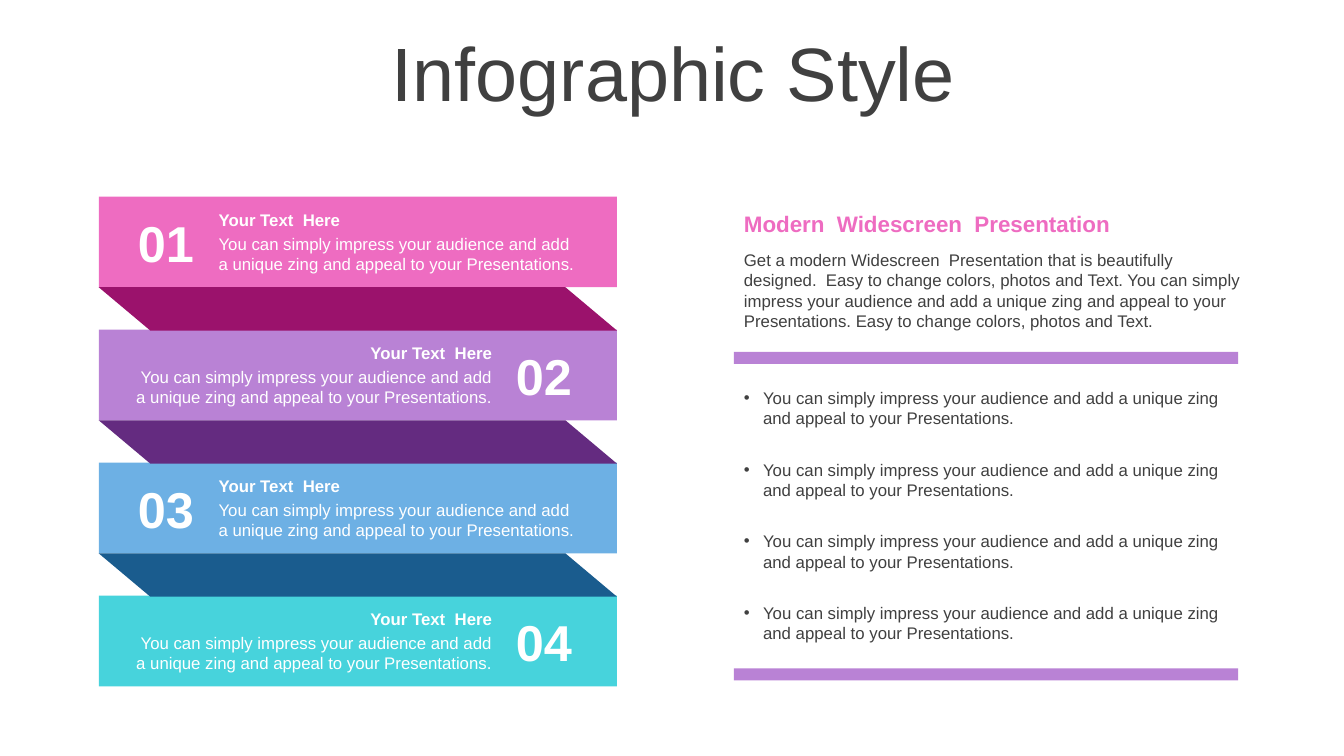
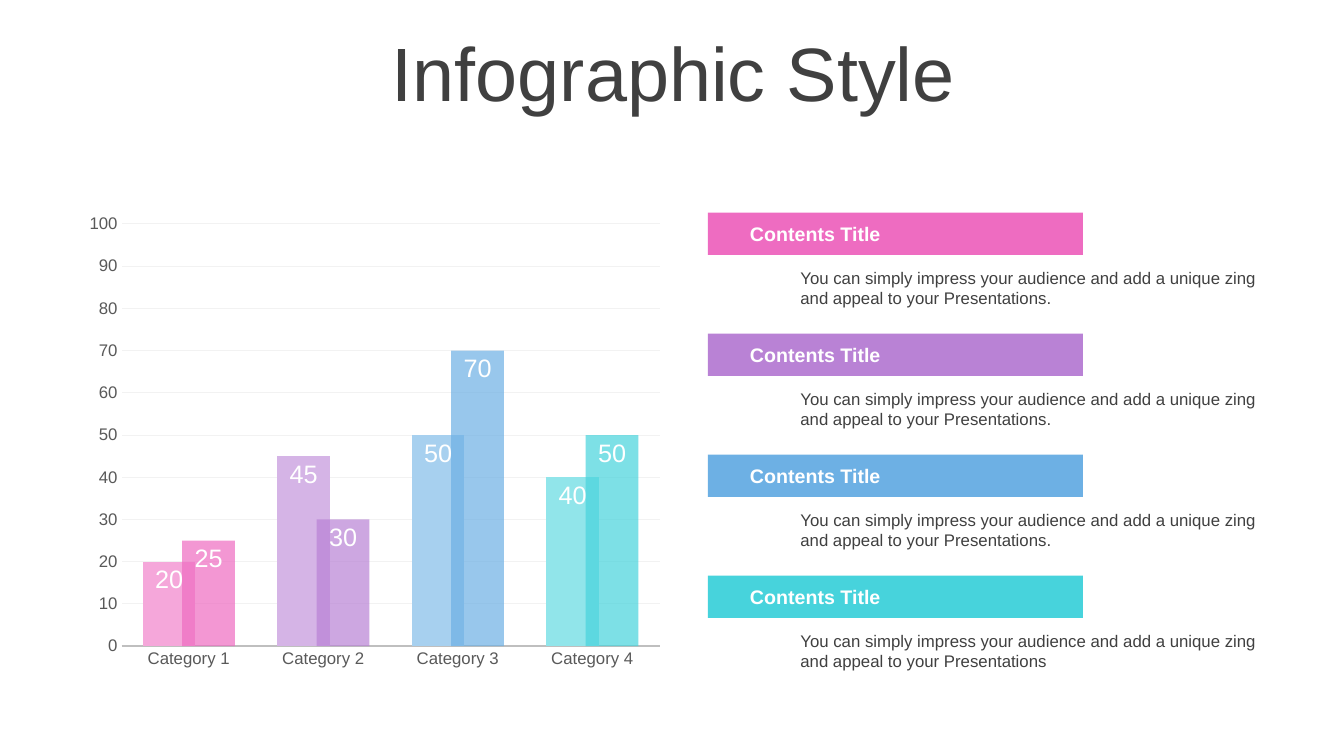
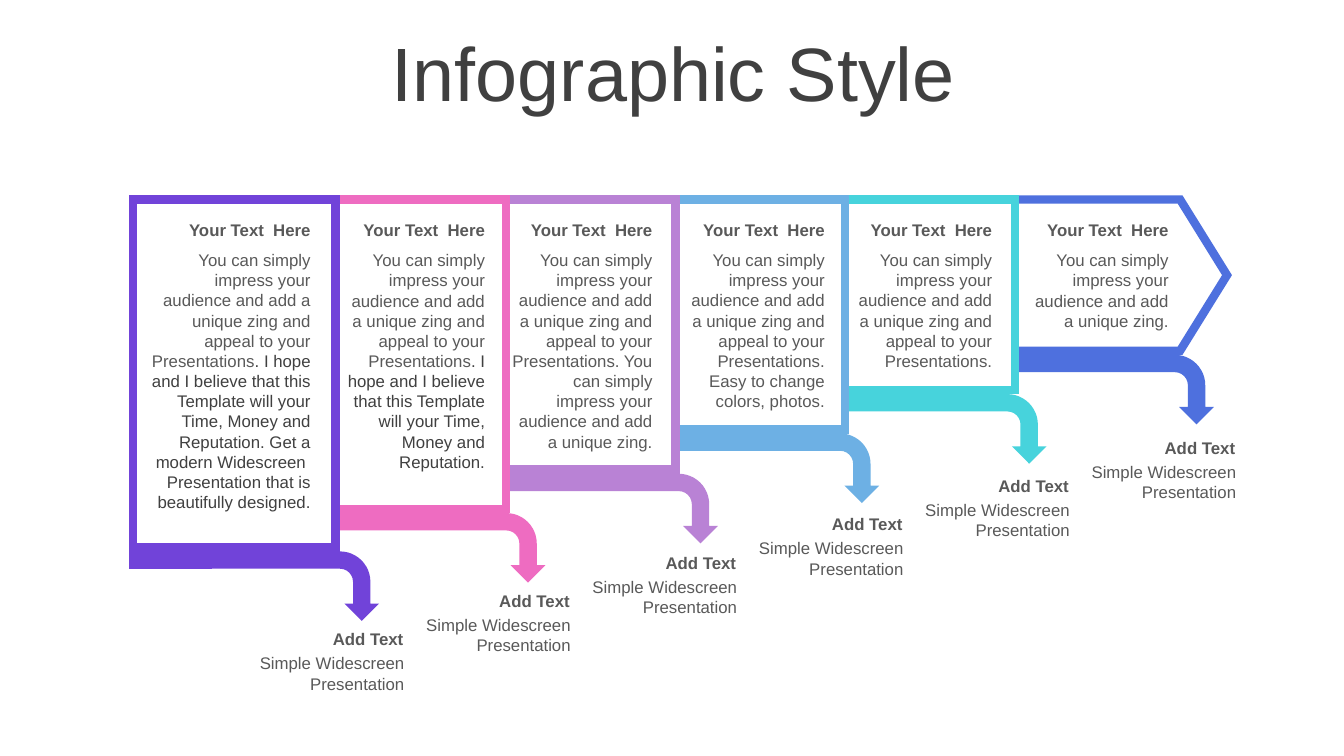
from collections import namedtuple

from lxml.etree import SubElement
from pptx import Presentation
from pptx.chart.data import CategoryChartData
from pptx.dml.color import RGBColor
from pptx.enum.chart import XL_CHART_TYPE as ChartType
from pptx.enum.chart import XL_LABEL_POSITION as LabelPosition
from pptx.enum.chart import XL_TICK_MARK as TickMark
from pptx.enum.shapes import MSO_SHAPE as Shape
from pptx.enum.text import MSO_ANCHOR as Anchor
from pptx.enum.text import MSO_AUTO_SIZE as AutoSize
from pptx.enum.text import PP_ALIGN as Align
from pptx.oxml.ns import qn
from pptx.util import Inches, Pt

WHITE = RGBColor(0xFF, 0xFF, 0xFF)
DARK = RGBColor(0x40, 0x40, 0x40)
GREY = RGBColor(0x59, 0x59, 0x59)
AXIS_GREY = RGBColor(0xBF, 0xBF, 0xBF)
GRID_GREY = RGBColor(0xF2, 0xF2, 0xF2)
PINK = RGBColor(0xEE, 0x6C, 0xC1)
LILAC = RGBColor(0xB9, 0x82, 0xD5)
BLUE = RGBColor(0x6D, 0xB0, 0xE4)
TEAL = RGBColor(0x47, 0xD3, 0xDC)
VIOLET = RGBColor(0x71, 0x43, 0xD9)
ROYAL = RGBColor(0x4E, 0x70, 0xDE)
ACCENTS = [PINK, LILAC, BLUE, TEAL]
DARK_ACCENTS = [
    RGBColor(0x9B, 0x12, 0x6C),
    RGBColor(0x64, 0x2B, 0x80),
    RGBColor(0x1A, 0x5C, 0x8E),
]
PALE_ACCENTS = [
    RGBColor(0xF5, 0xA7, 0xDA),
    RGBColor(0xD5, 0xB4, 0xE6),
    RGBColor(0xA7, 0xD0, 0xEF),
    RGBColor(0x91, 0xE5, 0xEA),
]

FONT = "Arial"
TITLE = "Infographic Style"
HEADING = "Your Text  Here"
APPEAL = ("You can simply impress your audience and add a unique zing "
          "and appeal to your Presentations")
HOPE = (". I hope and I believe that this Template will your Time, "
        "Money and Reputation.")

Panel = namedtuple(
    "Panel", "color left width bottom arrow_left arrow_width text_left text_width runs")


class InfographicDeck:
    """Holds the deck, its style and the slide being filled."""

    def __init__(self):
        self.deck = Presentation()
        self.deck.slide_width = Inches(13.33)
        self.deck.slide_height = Inches(7.5)
        self.page = None

    def new_page(self, title):
        self.page = self.deck.slides.add_slide(self.deck.slide_layouts[5])
        box = self.page.shapes.title
        box.left, box.top = Inches(0.35), Inches(0.37)
        box.width, box.height = Inches(12.66), Inches(0.79)
        frame = box.text_frame
        frame.auto_size = AutoSize.NONE
        frame.vertical_anchor = Anchor.MIDDLE
        para = frame.paragraphs[0]
        para.alignment = Align.CENTER
        para.line_spacing = 0.9
        self.add_span(para, title, 54, DARK)

    def add_span(self, para, text, size, color, bold=False):
        span = para.add_run()
        span.text = text
        self.style_font(span.font, size, color)
        span.font.bold = bold

    def style_font(self, font, size, color):
        font.name = FONT
        font.size = Pt(size)
        font.color.rgb = color

    def text(self, left, top, width, height, runs, size=12, color=DARK,
             bold=False, align=Align.LEFT, bullet=False):
        """Adds a text box; runs is a string or a list of (text, colour)."""
        box = self.page.shapes.add_textbox(
            Inches(left), Inches(top), Inches(width), Inches(height))
        box.text_frame.word_wrap = True
        para = box.text_frame.paragraphs[0]
        para.alignment = align
        if bullet:
            props = para._p.get_or_add_pPr()
            props.set("marL", str(Inches(0.19)))
            props.set("indent", str(-Inches(0.19)))
            SubElement(props, qn("a:buFont"), typeface=FONT)
            SubElement(props, qn("a:buChar"), char="•")
        if isinstance(runs, str):
            runs = [(runs, color)]
        for words, run_color in runs:
            self.add_span(para, words, size, run_color, bold)

    def shape(self, kind, left, top, width, height, fill, adjust=None):
        shape = self.page.shapes.add_shape(
            kind, Inches(left), Inches(top), Inches(width), Inches(height))
        shape.shadow.inherit = False
        shape.fill.solid()
        shape.fill.fore_color.rgb = fill
        shape.line.fill.background()
        if adjust is not None:
            shape.adjustments[0] = adjust
        return shape

    def bar(self, left, top, width, height, fill):
        return self.shape(Shape.RECTANGLE, left, top, width, height, fill)

    def fold(self, left, top, width, height, fill):
        """Adds the dark back of a ribbon, leaning to the right."""
        shape = self.shape(Shape.PARALLELOGRAM, left, top, width, height, fill, 1.19)
        shape._element.spPr.find(qn("a:xfrm")).set("flipH", "1")

    def frame(self, kind, left, top, width, height, color, adjust=None):
        """Adds a white shape with a thick, sharp-cornered outline."""
        shape = self.shape(kind, left, top, width, height, WHITE, adjust)
        shape.line.color.rgb = color
        shape.line.width = Pt(6)
        SubElement(shape._element.spPr.find(qn("a:ln")), qn("a:miter"), lim="800000")

    def down_arrow(self, left, top, width, height, fill):
        """Adds a bent arrow turned by 90 degrees, placed by its turned outline."""
        shift = (width - height) / 2
        shape = self.shape(
            Shape.BENT_ARROW, left + shift, top - shift, height, width, fill)
        shape.rotation = 90

    def column_chart(self, left, top, width, height, categories, series):
        """series holds (name, values, point colours, opacity in percent)."""
        data = CategoryChartData()
        data.categories = categories
        for name, values, _, _ in series:
            data.add_series(name, values)
        chart = self.page.shapes.add_chart(
            ChartType.COLUMN_CLUSTERED, Inches(left), Inches(top),
            Inches(width), Inches(height), data).chart
        chart.has_legend = False
        chart.has_title = False
        self.style_font(chart.font, 12, GREY)
        plot = chart.plots[0]
        plot.gap_width = 80
        plot.overlap = 25
        plot.vary_by_categories = False
        for column, (_, _, colors, opacity) in zip(plot.series, series):
            self.style_column(column, colors, opacity)
        self.style_axes(chart.category_axis, chart.value_axis)

    def style_column(self, column, colors, opacity):
        column.invert_if_negative = False
        for index, color in enumerate(colors):
            fill = column.points[index].format.fill
            fill.solid()
            fill.fore_color.rgb = color
            if opacity < 100:
                tint = fill._xPr.find(".//" + qn("a:srgbClr"))
                SubElement(tint, qn("a:alpha"), val=str(opacity * 1000))
        labels = column.data_labels
        labels.show_value = True
        labels.position = LabelPosition.INSIDE_END
        self.style_font(labels.font, 18, WHITE)

    def style_axes(self, category_axis, value_axis):
        for axis in (category_axis, value_axis):
            axis.major_tick_mark = TickMark.NONE
            axis.minor_tick_mark = TickMark.NONE
            self.style_font(axis.tick_labels.font, 12, GREY)
        category_axis.format.line.color.rgb = AXIS_GREY
        category_axis.format.line.width = Pt(1.25)
        value_axis.format.line.fill.background()
        value_axis.minimum_scale = 0
        value_axis.maximum_scale = 100
        value_axis.major_unit = 10
        grid = value_axis.major_gridlines.format.line
        grid.color.rgb = GRID_GREY
        grid.width = Pt(0.75)


def build_ribbon_page(deck):
    deck.new_page(TITLE)
    left, width, height, step = 0.98, 5.14, 0.9, 1.32
    for index, color in enumerate(ACCENTS):
        top = 1.95 + step * index
        deck.bar(left, top, width, height, color)
        if index % 2 == 0:
            number_left, text_left, align = 1.22, 2.07, Align.LEFT
        else:
            number_left, text_left, align = 4.97, 1.22, Align.RIGHT
        deck.text(number_left, top + 0.1, 0.85, 0.71, f"{index + 1:02}",
                  36, WHITE, True, Align.CENTER)
        deck.text(text_left, top + 0.08, 3.76, 0.3, HEADING,
                  color=WHITE, bold=True, align=align)
        deck.text(text_left, top + 0.32, 3.76, 0.5, APPEAL + ".",
                  color=WHITE, align=align)
    for index, color in enumerate(DARK_ACCENTS):
        deck.fold(left, 2.85 + step * index, width, 0.43, color)

    deck.text(7.28, 2.04, 5.19, 0.37, "Modern  Widescreen  Presentation",
              16, PINK, True)
    deck.text(7.28, 2.43, 5.19, 0.91,
              "Get a modern Widescreen  Presentation that is beautifully designed.  "
              "Easy to change colors, photos and Text. You can simply impress your "
              "audience and add a unique zing and appeal to your Presentations. "
              "Easy to change colors, photos and Text.")
    for top in (3.49, 6.63):
        deck.bar(7.28, top, 5, 0.12, LILAC)
    for index in range(4):
        deck.text(7.28, 3.8 + 0.71 * index, 5.19, 0.5, APPEAL + ".", bullet=True)


def build_chart_page(deck):
    deck.new_page(TITLE)
    deck.column_chart(
        0.77, 2.04, 5.89, 4.68,
        [f"Category {number}" for number in range(1, 5)],
        [("Series 1", (20, 45, 50, 40), PALE_ACCENTS, 100),
         ("Series 2", (25, 30, 70, 50), ACCENTS, 70)])
    endings = [".", ".", ".", ""]
    for index, (color, ending) in enumerate(zip(ACCENTS, endings)):
        top = 2.11 + 1.2 * index
        deck.bar(7.02, top, 3.72, 0.42, color)
        deck.text(7.34, top + 0.04, 2.94, 0.34, "Contents Title", 14, WHITE, True)
        deck.text(7.84, top + 0.5, 4.84, 0.5, APPEAL + ending)


def build_steps_page(deck):
    deck.new_page(TITLE)
    panels = [
        Panel(VIOLET, 1.32, 2.01, 5.43, 1.28, 2.48, 1.39, 1.79,
              [(APPEAL, GREY),
               (HOPE + " Get a modern Widescreen  Presentation that is "
                "beautifully designed.", DARK)]),
        Panel(PINK, 2.85, 2.17, 5.05, 3.24, 2.17, 3.31, 1.6,
              [(APPEAL, GREY), (HOPE, DARK)]),
        Panel(LILAC, 4.53, 2.17, 4.66, 5.02, 2.1, 4.98, 1.59,
              [(APPEAL + ". You can simply impress your audience and add "
                "a unique zing.", GREY)]),
        Panel(BLUE, 6.21, 2.17, 4.26, 6.7, 2.02, 6.66, 1.62,
              [(APPEAL + ". Easy to change colors, photos.", GREY)]),
        Panel(TEAL, 7.9, 2.17, 3.87, 8.39, 1.99, 8.37, 1.57,
              [(APPEAL + ".", GREY)]),
        Panel(ROYAL, 9.84, 2.33, 3.48, 10.07, 1.97, 10.1, 1.59,
              [("You can simply impress your audience and add a unique zing.",
                GREY)]),
    ]
    top = 1.98
    for panel in panels:
        deck.down_arrow(panel.arrow_left, panel.bottom + 0.04,
                        panel.arrow_width, 0.69, panel.color)
    for panel in reversed(panels):
        last = panel is panels[-1]
        deck.frame(Shape.PENTAGON if last else Shape.RECTANGLE, panel.left, top,
                   panel.width, panel.bottom - top, panel.color,
                   0.31 if last else None)
    for index, panel in enumerate(panels):
        deck.text(panel.text_left, 2.13, panel.text_width, 0.3, HEADING,
                  color=GREY, bold=True, align=Align.RIGHT)
        deck.text(panel.text_left, 2.43, panel.text_width, panel.bottom - 2.7,
                  panel.runs, align=Align.RIGHT)
        caption_left, caption_top = 2.25 + 1.65 * index, 6.19 - 0.38 * index
        deck.text(caption_left, caption_top, 1.85, 0.3, "Add Text",
                  color=GREY, bold=True, align=Align.RIGHT)
        deck.text(caption_left + 0.01, caption_top + 0.24, 1.85, 0.5,
                  "Simple Widescreen Presentation", color=GREY, align=Align.RIGHT)


def main():
    deck = InfographicDeck()
    build_ribbon_page(deck)
    build_chart_page(deck)
    build_steps_page(deck)
    deck.deck.save("out.pptx")


if __name__ == "__main__":
    main()
